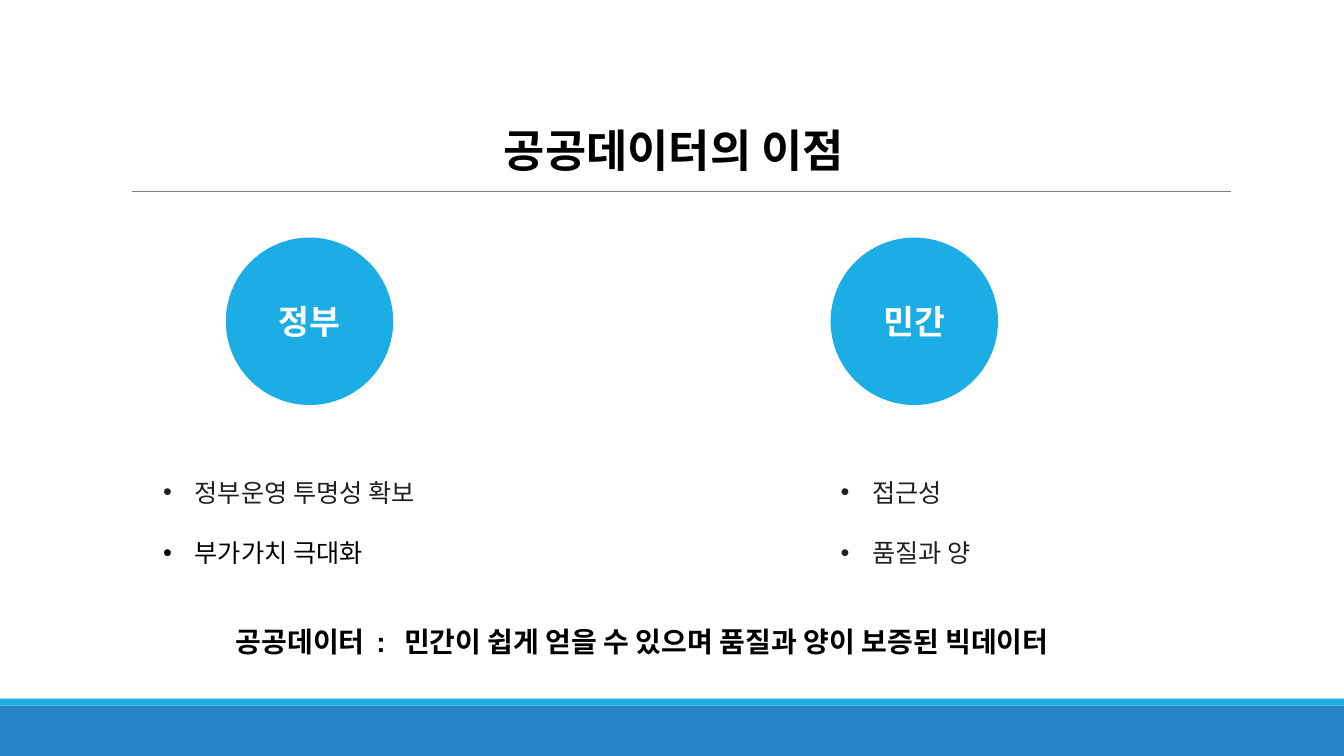
from pptx import Presentation
from pptx.dml.color import RGBColor
from pptx.enum.shapes import MSO_CONNECTOR, MSO_SHAPE
from pptx.enum.text import MSO_ANCHOR, MSO_AUTO_SIZE, PP_ALIGN
from pptx.oxml.ns import qn
from pptx.util import Pt
from lxml import etree

RECT, OVAL = MSO_SHAPE.RECTANGLE, MSO_SHAPE.OVAL
STRAIGHT = MSO_CONNECTOR.STRAIGHT
TOP, MIDDLE = MSO_ANCHOR.TOP, MSO_ANCHOR.MIDDLE
LEFT, CENTER = PP_ALIGN.LEFT, PP_ALIGN.CENTER
NO_FIT = MSO_AUTO_SIZE.NONE

BLUE = RGBColor(0x26, 0x83, 0xC6)
CYAN = RGBColor(0x1C, 0xAD, 0xE4)
GRAY = RGBColor(0x80, 0x80, 0x80)
INK = RGBColor(0x20, 0x21, 0x24)
BLACK = RGBColor(0, 0, 0)
WHITE = RGBColor(255, 255, 255)

SLIDE_W, SLIDE_H = 960, 540
TWO_CONTENT = 3
INDENT = 22.5


def set_box(shape, x, y, w, h):
    shape.left, shape.top, shape.width, shape.height = Pt(x), Pt(y), Pt(w), Pt(h)


def style_run(r, font, size, color, bold=False):
    r.font.name, r.font.size, r.font.bold = font, Pt(size), bold
    r.font.color.rgb = color


def add_filled(s, kind, color, x, y, w, h):
    shape = s.shapes.add_shape(kind, Pt(x), Pt(y), Pt(w), Pt(h))
    shape.shadow.inherit = False
    shape.fill.solid()
    shape.fill.fore_color.rgb = color
    shape.line.fill.background()
    return shape


def add_footer_bands(s, x, y, w, h):
    stripe = 5
    add_filled(s, RECT, BLUE, x, y + stripe, w, h - stripe)
    add_filled(s, RECT, CYAN, x, y, w, stripe)


def add_heading(s, text, x, y, w, h):
    # Title
    title = s.shapes.title
    set_box(title, x + 258.5, y, 280, h - 6.5)
    tf = title.text_frame
    tf.text = text
    tf.auto_size, tf.word_wrap, tf.vertical_anchor = NO_FIT, False, TOP
    p = tf.paragraphs[0]
    p.alignment = LEFT
    style_run(p.runs[0], "Calibri", 32, BLACK, True)
    # Rule under the title
    rule = s.shapes.add_connector(STRAIGHT, Pt(x), Pt(y + h), Pt(x + w), Pt(y + h))
    rule.line.color.rgb = GRAY
    rule.line.width = Pt(0.5)
    etree.SubElement(rule._element.spPr, qn("a:effectLst"))


def add_circle(s, label, x, y, size):
    circle = add_filled(s, OVAL, CYAN, x, y, size, size)
    tf = circle.text_frame
    tf.text = label
    tf.vertical_anchor = MIDDLE
    p = tf.paragraphs[0]
    p.alignment = CENTER
    style_run(p.runs[0], "Calibri", 24, WHITE, True)


def add_benefits(body, items, x, y, w, h):
    set_box(body, x, y, w, h)
    tf = body.text_frame
    tf.text = "\n".join(text for text, _, _ in items)
    tf.auto_size, tf.word_wrap, tf.vertical_anchor = NO_FIT, True, TOP
    for p, (_, font, color) in zip(tf.paragraphs, items):
        p.line_spacing = 2.0
        p.space_before = p.space_after = Pt(0)
        pPr = p._p.get_or_add_pPr()
        pPr.set("marL", str(Pt(INDENT)))
        pPr.set("indent", str(-Pt(INDENT)))
        etree.SubElement(pPr, qn("a:buFont")).set("typeface", "Arial")
        etree.SubElement(pPr, qn("a:buChar")).set("char", "•")
        style_run(p.runs[0], font, 18, color)


def add_summary(s, term, meaning, x, y, w, h):
    box = s.shapes.add_textbox(Pt(x), Pt(y), Pt(w), Pt(h))
    box.text_frame.word_wrap = False
    p = box.text_frame.paragraphs[0]
    for text in (term, " : ", meaning):
        r = p.add_run()
        r.text = text
        style_run(r, "Arial", 20, BLACK, True)
    # Wider letter spacing around the colon
    p.runs[1]._r.get_or_add_rPr().set("spc", "380")


def main():
    prs = Presentation()
    prs.slide_width, prs.slide_height = Pt(SLIDE_W), Pt(SLIDE_H)
    s = prs.slides.add_slide(prs.slide_layouts[TWO_CONTENT])

    add_footer_bands(s, 0, 499, SLIDE_W, 41)
    add_heading(s, "공공데이터의 이점", 94.3, 84.2, 784.7, 52.6)

    # Government and private sector columns
    columns = [
        ("정부", 161.3, 109.4, 262,
         [("정부운영 투명성 확보", "Roboto", INK), ("부가가치 극대화", "Calibri", BLACK)]),
        ("민간", 593.3, 593.3, 179.3,
         [("접근성", "Roboto", INK), ("품질과 양", "Roboto", INK)]),
    ]
    for i, (label, circle_x, list_x, list_w, items) in enumerate(columns, start=1):
        add_circle(s, label, circle_x, 169.7, 119.6)
        add_benefits(s.placeholders[i], items, list_x, 315.4, list_w, 100)

    add_summary(s, "공공데이터", "민간이 쉽게 얻을 수 있으며 품질과 양이 보증된 빅데이터",
                161.3, 442.8, 656, 31.7)
    prs.save("out.pptx")


if __name__ == "__main__":
    main()
